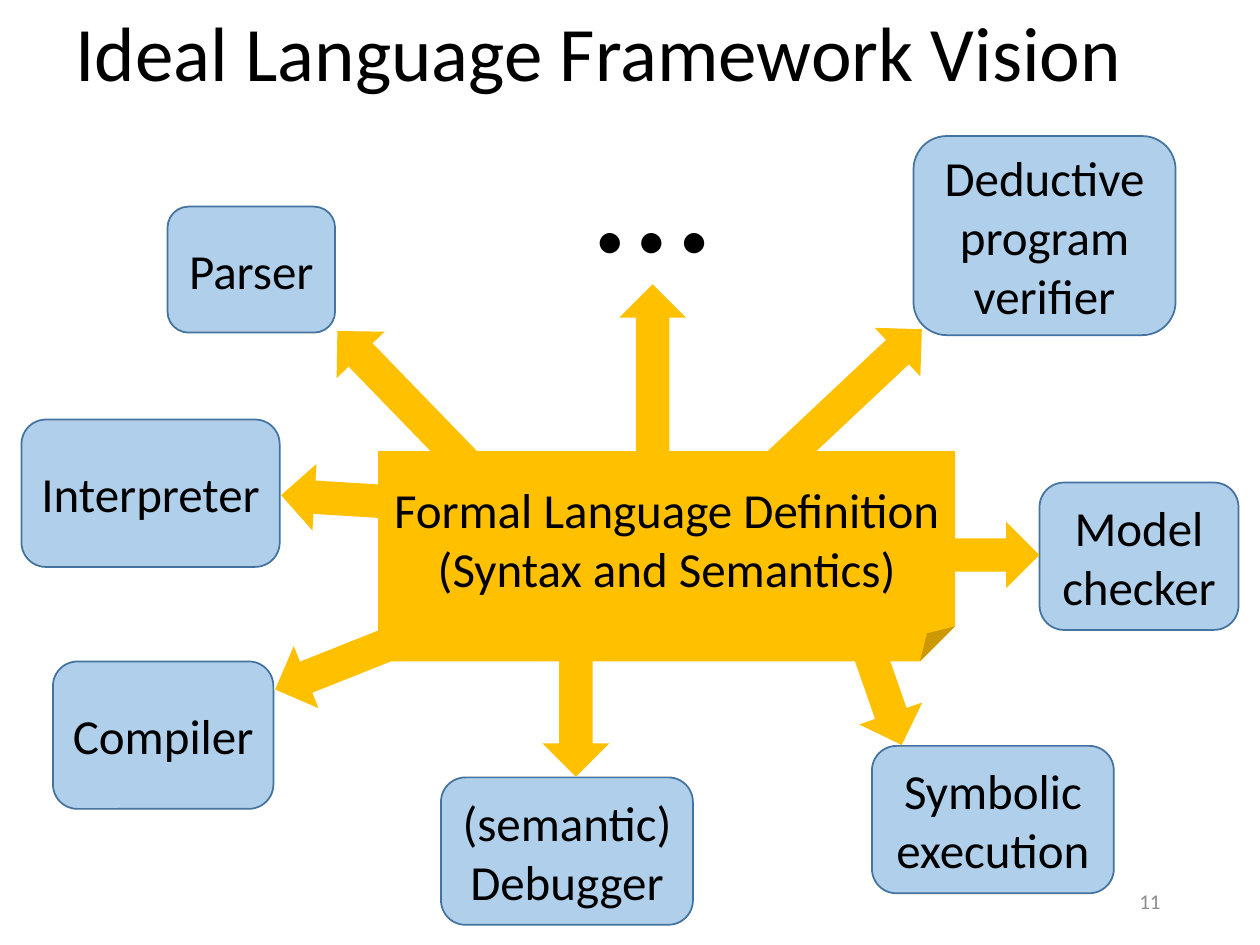
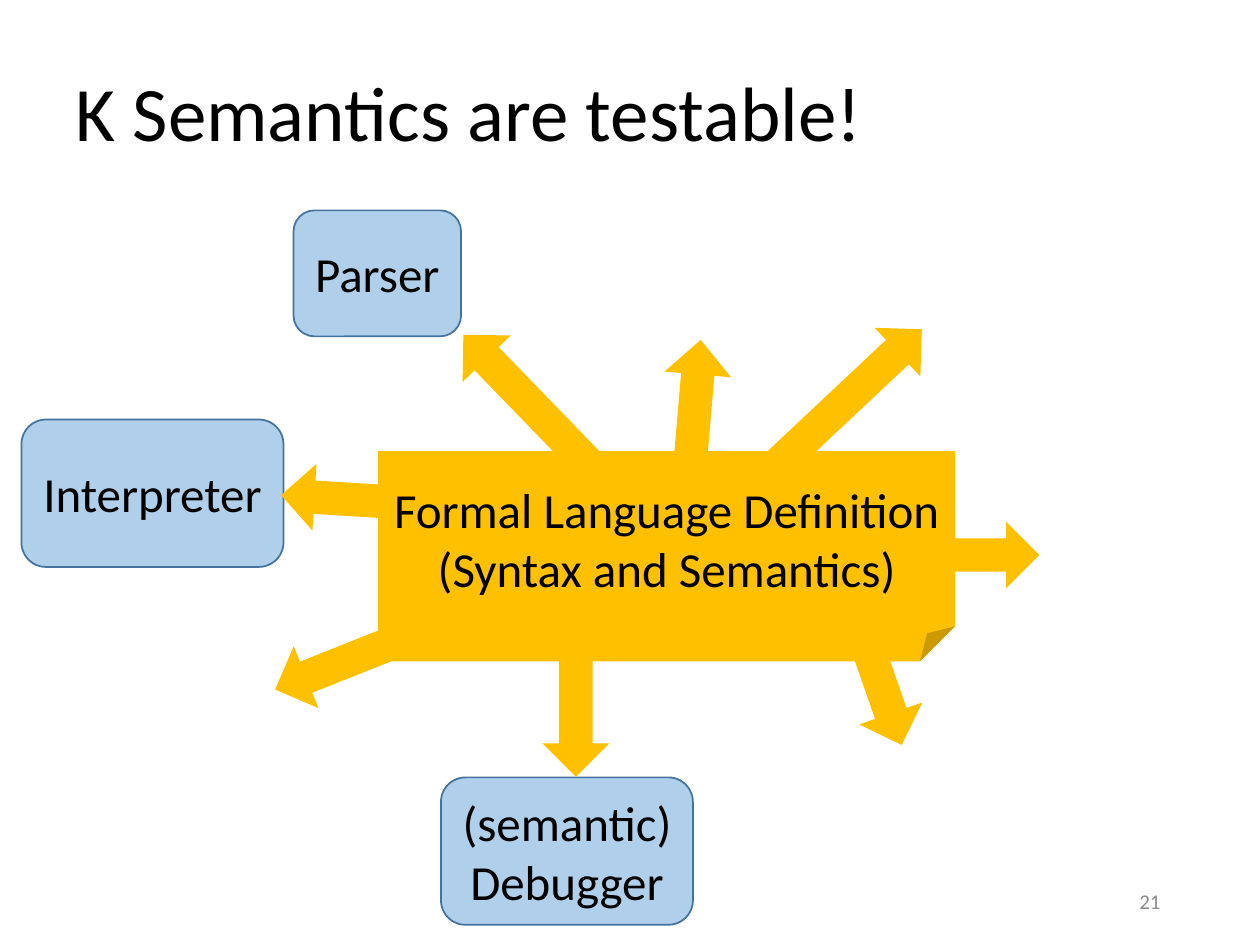
"""Build two slides showing the tools derived from one formal language definition."""
from dataclasses import dataclass

from lxml import etree
from pptx import Presentation
from pptx.dml.color import RGBColor
from pptx.enum import shapes, text
from pptx.oxml.ns import qn
from pptx.util import Inches, Pt

BLACK = RGBColor(0x00, 0x00, 0x00)
GREY = RGBColor(0x8C, 0x8C, 0x8C)
BLUE = RGBColor(0x5B, 0x9B, 0xD5)
DARK_BLUE = RGBColor(0x43, 0x73, 0x9E)
GOLD = RGBColor(0xFF, 0xC0, 0x00)
FONT = "Calibri"
TOOL_OPACITY = 48
ARROW_HEIGHT = 0.53
TOOL_FRAME = {
    "word_wrap": True,
    "vertical_anchor": text.MSO_ANCHOR.MIDDLE,
    "margin_left": Inches(0.08),
    "margin_right": Inches(0.08),
}
MIDDLE_FRAME = {
    "word_wrap": True,
    "vertical_anchor": text.MSO_ANCHOR.MIDDLE,
    "auto_size": text.MSO_AUTO_SIZE.NONE,
}
DOTS_FRAME = {"word_wrap": False, "auto_size": text.MSO_AUTO_SIZE.SHAPE_TO_FIT_TEXT}


@dataclass(frozen=True)
class Tool:
    """A rounded box naming one language tool."""
    label: str
    left: float
    top: float
    width: float
    height: float = 1.17


@dataclass(frozen=True)
class Arrow:
    """A block arrow from the definition towards a tool."""
    left: float
    top: float
    width: float = 1.5
    rotation: float = 0
    head: float = 0.5


@dataclass(frozen=True)
class Diagram:
    """The content of one slide."""
    title: str
    title_top: float
    title_height: float
    number: str
    tools: tuple[Tool, ...]
    arrows: tuple[Arrow, ...]
    dots: bool = False


DEBUGGER = Tool("(semantic) Debugger", 3.5, 6.17, 2)
SHARED_ARROWS = (
    Arrow(5.57, 3.04, 2.02, 316.8),
    Arrow(2.23, 3.71, 1.48, 183.5),
    Arrow(2.13, 4.93, rotation=158.3),
    Arrow(3.82, 5.15, rotation=90),
    Arrow(6.16, 4.94, rotation=70.8),
    Arrow(6.75, 4.14),
)
DIAGRAMS = (
    Diagram(
        "Ideal Language Framework Vision", -0.03, 0.95, "11",
        (
            Tool("Deductive program verifier", 7.25, 1.08, 2.08, 1.58),
            Tool("Parser", 1.33, 1.64, 1.33, 1),
            Tool("Interpreter", 0.17, 3.33, 2.05),
            Tool("Compiler", 0.42, 5.25, 1.75),
            DEBUGGER,
            Tool("Symbolic execution", 6.92, 5.92, 1.92),
            Tool("Model checker", 8.25, 3.83, 1.58),
        ),
        SHARED_ARROWS + (Arrow(2.45, 2.9, rotation=225.9), Arrow(4.39, 2.78, 1.58, 270)),
        dots=True,
    ),
    Diagram(
        "K Semantics are testable!", 0.3, 1.25, "21",
        (
            Tool("Parser", 2.33, 1.67, 1.33, 1),
            Tool("Interpreter", 0.17, 3.33, 2.08),
            DEBUGGER,
        ),
        SHARED_ARROWS + (Arrow(3.45, 2.93, rotation=225.9),
                         Arrow(4.9, 3.04, 1.22, 274.9, 0.52)),
    ),
)


def apply(target, values: dict) -> None:
    """Set each named attribute on the target."""
    for name, value in values.items():
        setattr(target, name, value)


def write(frame, lines: tuple[str, ...], size: float, align, settings: dict,
          color: RGBColor = BLACK, spacing: float = 1.0) -> None:
    """Fill a text frame with uniformly formatted paragraphs."""
    apply(frame, settings)
    frame.text = "\n".join(lines)
    for paragraph in frame.paragraphs:
        apply(paragraph, {"alignment": align, "line_spacing": spacing})
        for run in paragraph.runs:
            apply(run.font, {"size": Pt(size), "name": FONT})
            run.font.color.rgb = color


def add_block(slide, kind, place: tuple[float, ...], fill: RGBColor):
    """Add a flat preset shape without an outline."""
    block = slide.shapes.add_shape(kind, *map(Inches, place))
    block.shadow.inherit = False
    block.fill.solid()
    block.fill.fore_color.rgb = fill
    block.line.fill.background()
    return block


def add_tool(slide, tool: Tool) -> None:
    """Draw a translucent tool box with its label."""
    box = add_block(slide, shapes.MSO_SHAPE.ROUNDED_RECTANGLE,
                    (tool.left, tool.top, tool.width, tool.height), BLUE)
    tint = box.fill._xPr.find(qn("a:solidFill")).find(qn("a:srgbClr"))
    etree.SubElement(tint, qn("a:alpha"), val=str(TOOL_OPACITY * 1000))
    box.line.color.rgb = DARK_BLUE
    box.line.width = Pt(1)
    write(box.text_frame, (tool.label,), 28, text.PP_ALIGN.CENTER, TOOL_FRAME)


def add_arrow(slide, arrow: Arrow) -> None:
    """Draw one rotated block arrow."""
    block = add_block(slide, shapes.MSO_SHAPE.RIGHT_ARROW,
                      (arrow.left, arrow.top, arrow.width, ARROW_HEIGHT), GOLD)
    block.rotation = arrow.rotation
    block.adjustments[1] = arrow.head


def add_definition(slide) -> None:
    """Draw the central language definition note."""
    note = add_block(slide, shapes.MSO_SHAPE.FOLDED_CORNER, (3, 3.58, 4.58, 1.67), GOLD)
    write(note.text_frame, ("Formal Language Definition", "(Syntax and Semantics)"),
          28, text.PP_ALIGN.CENTER, MIDDLE_FRAME)


def add_label(slide, place: tuple[float, ...], label: str, size: float, align,
              settings: dict, color: RGBColor = BLACK) -> None:
    """Add a free-standing text box."""
    box = slide.shapes.add_textbox(*map(Inches, place))
    write(box.text_frame, (label,), size, align, settings, color)


def add_diagram(deck, diagram: Diagram) -> None:
    """Add a slide with its title, tools, arrows and number."""
    slide = deck.slides.add_slide(deck.slide_layouts[5])
    title = slide.shapes.title
    apply(title, {"left": Inches(0.5), "top": Inches(diagram.title_top),
                  "width": Inches(9), "height": Inches(diagram.title_height)})
    write(title.text_frame, (diagram.title,), 44, text.PP_ALIGN.LEFT,
          MIDDLE_FRAME, spacing=0.9)
    for tool in diagram.tools:
        add_tool(slide, tool)
    for arrow in diagram.arrows:
        add_arrow(slide, arrow)
    add_definition(slide)
    if diagram.dots:
        add_label(slide, (4.62, 0.62, 1.13, 1.72), "…", 96, text.PP_ALIGN.LEFT, DOTS_FRAME)
    add_label(slide, (7.06, 6.95, 2.25, 0.4), diagram.number, 12,
              text.PP_ALIGN.RIGHT, MIDDLE_FRAME, GREY)


def main() -> None:
    """Build and save the deck."""
    deck = Presentation()
    apply(deck, {"slide_width": Inches(10), "slide_height": Inches(7.5)})
    for diagram in DIAGRAMS:
        add_diagram(deck, diagram)
    deck.save("out.pptx")


if __name__ == "__main__":
    main()
